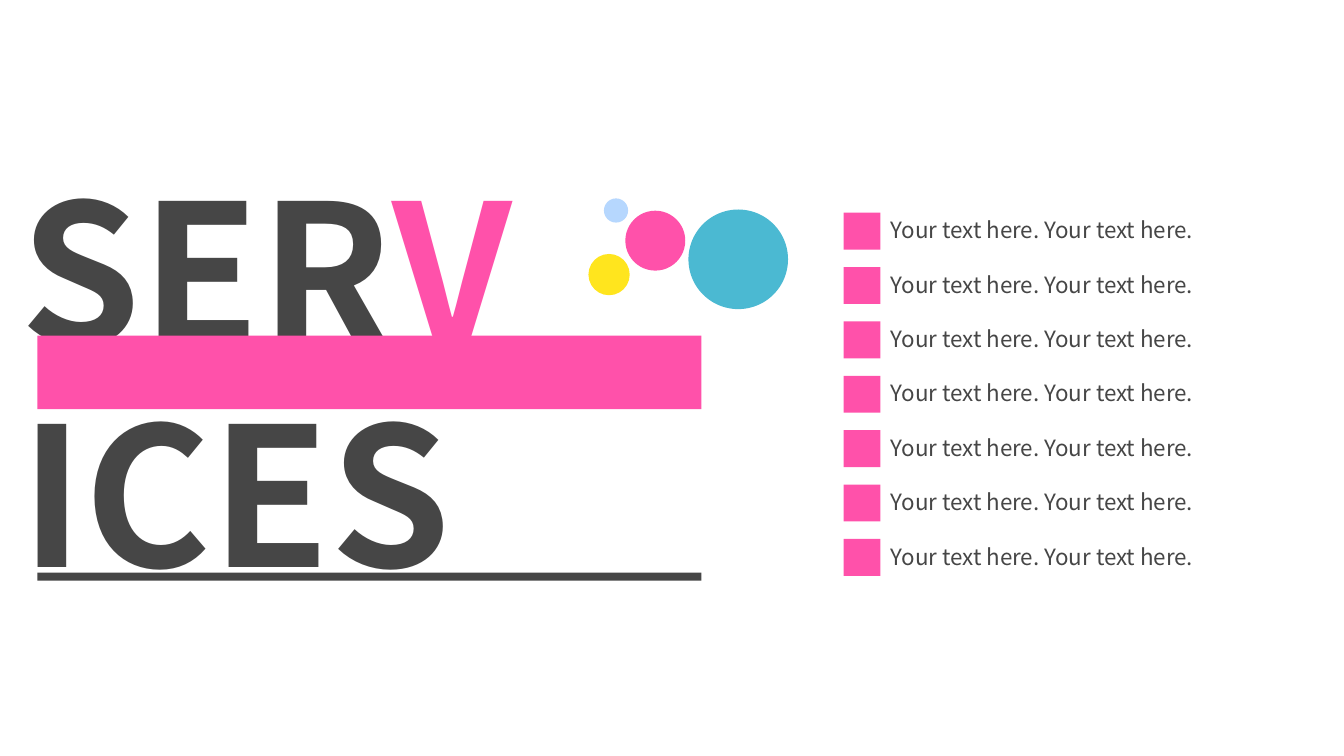
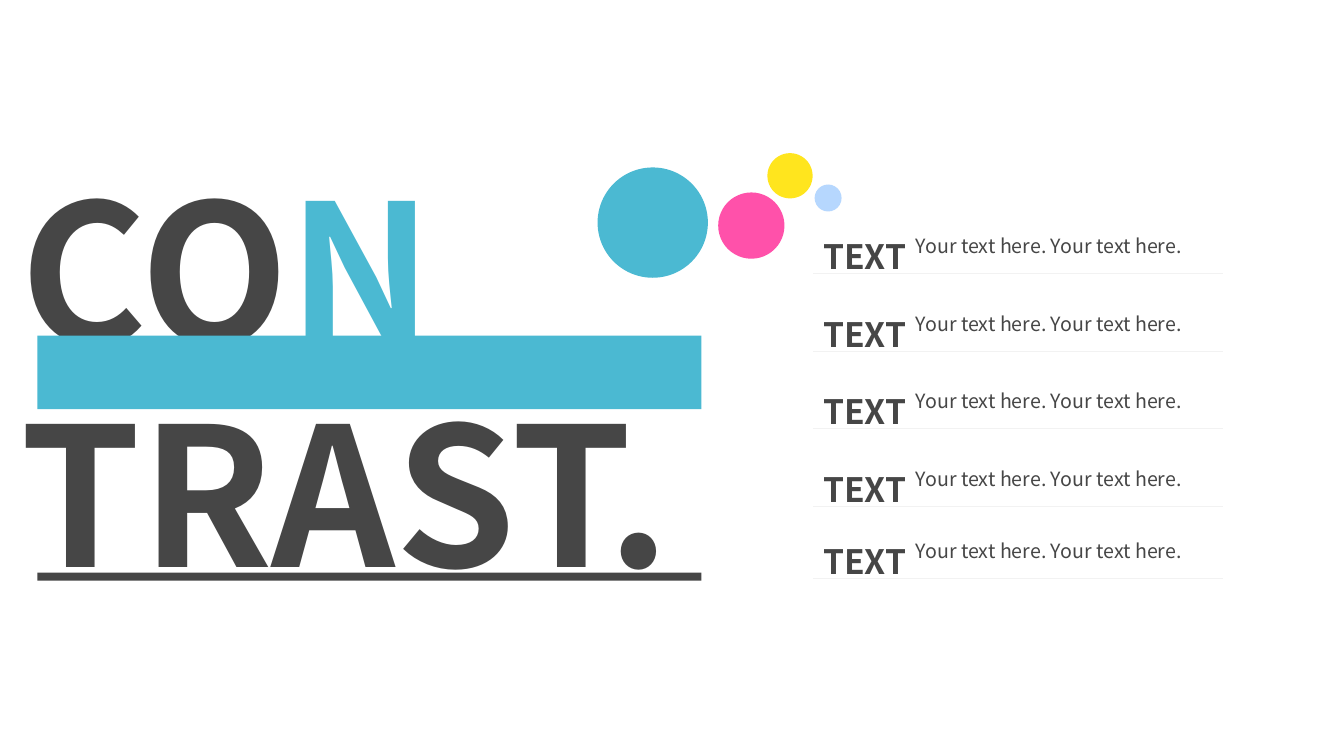
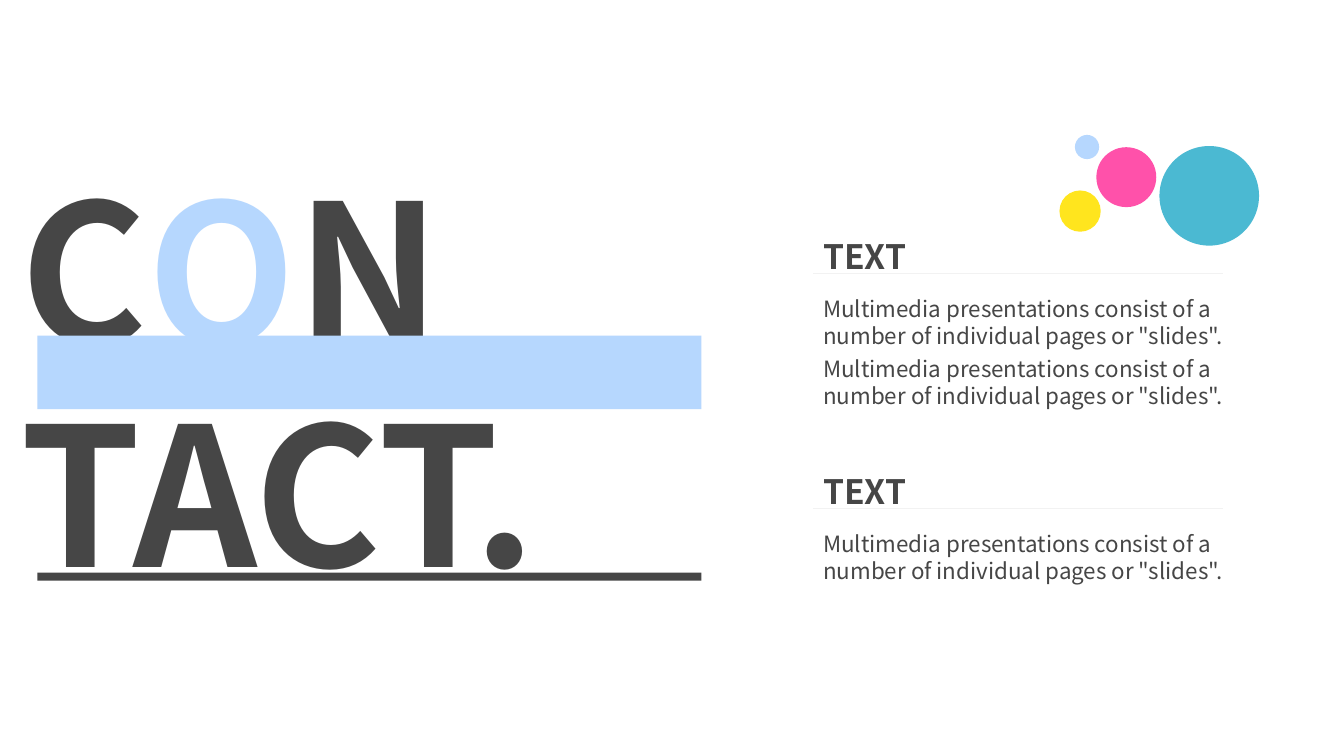
"""Build three slides with split headline titles, bubbles and text lists."""
from typing import NamedTuple

from lxml.etree import SubElement
from pptx import Presentation
from pptx.dml.color import RGBColor
from pptx.enum.shapes import MSO_CONNECTOR, MSO_SHAPE
from pptx.enum.text import MSO_AUTO_SIZE
from pptx.oxml.ns import qn
from pptx.slide import Slide
from pptx.util import Cm, Pt

FONT = "Noto Sans CJK SC"
HUES = {
    "dark": "464646",
    "pink": "FF51AA",
    "teal": "4BB9D2",
    "gold": "FFE51E",
    "pale": "B6D7FE",
    "rule": "F2F2F2",
}
LINE = "Your text here. Your text here."
PROSE = 'Multimedia presentations consist of a number of individual pages or "slides".'
LIST_X = 20.5


class Box(NamedTuple):
    x: float
    y: float
    w: float
    h: float


class Run(NamedTuple):
    text: str
    hue: str = "dark"


class Style(NamedTuple):
    size: int
    bold: bool = False
    lead: int | None = None


class Dot(NamedTuple):
    hue: str
    x: float
    y: float
    size: float


HUGE = Style(138, True)
HEAD = Style(24, True, 65)
BODY = Style(16)
SMALL = Style(14)

CLUMP = [
    Dot("teal", 2.52, 0.28, 2.51),
    Dot("pink", 0.93, 0.31, 1.51),
    Dot("gold", 0, 1.4, 1.04),
    Dot("pale", 0.39, 0, 0.61),
]
TRAIL = [
    Dot("teal", 0, 0.36, 2.78),
    Dot("pink", 3.04, 0.99, 1.67),
    Dot("gold", 4.28, 0, 1.14),
    Dot("pale", 5.47, 0.79, 0.68),
]


def color(hue: str) -> RGBColor:
    return RGBColor.from_string(HUES[hue])


def write(slide: Slide, box: Box, runs: list[Run], style: Style) -> None:
    frame = slide.shapes.add_textbox(*map(Cm, box)).text_frame
    frame.word_wrap = True
    frame.auto_size = MSO_AUTO_SIZE.SHAPE_TO_FIT_TEXT
    para = frame.paragraphs[0]
    if style.lead:
        para.line_spacing = Pt(style.lead)
    for part in runs:
        run = para.add_run()
        run.text = part.text
        run.font.name = FONT
        run.font.size = Pt(style.size)
        run.font.bold = style.bold
        run.font.color.rgb = color(part.hue)


def fill(slide: Slide, box: Box, hue: str, kind: MSO_SHAPE = MSO_SHAPE.RECTANGLE) -> None:
    shape = slide.shapes.add_shape(kind, *map(Cm, box))
    shape.shadow.inherit = False
    shape.fill.solid()
    shape.fill.fore_color.rgb = color(hue)
    shape.line.fill.background()


def rule(slide: Slide, y: float) -> None:
    ends = map(Cm, (LIST_X, y, 30.81, y))
    line = slide.shapes.add_connector(MSO_CONNECTOR.STRAIGHT, *ends)
    line.line.color.rgb = color("rule")
    line.line.width = Pt(0.5)
    SubElement(line._element.spPr, qn("a:effectLst"))


def title(slide: Slide, top: list[Run], base: str, hue: str) -> None:
    write(slide, Box(0.28, 3.68, 18.3, 6.15), top, HUGE)
    write(slide, Box(0.28, 9.32, 18.3, 6.15), [Run(base)], HUGE)
    fill(slide, Box(0.94, 14.43, 16.74, 0.2), "dark")
    fill(slide, Box(0.94, 8.46, 16.74, 1.85), hue)


def bubbles(slide: Slide, dots: list[Dot], x: float, y: float) -> None:
    for dot in dots:
        box = Box(x + dot.x, y + dot.y, dot.size, dot.size)
        fill(slide, box, dot.hue, MSO_SHAPE.OVAL)


def heading(slide: Slide, y: float) -> None:
    write(slide, Box(LIST_X, y - 2.34, 4.7, 2.18), [Run("TEXT")], HEAD)
    rule(slide, y)


def services(slide: Slide) -> None:
    title(slide, [Run("SER"), Run("V", "pink")], "ICES", "pink")
    for row in range(7):
        y = 5.36 + row * 1.37
        write(slide, Box(22.2, y - 0.03, 9.2, 0.94), [Run(LINE)], BODY)
        fill(slide, Box(21.26, y, 0.93, 0.93), "pink")
    bubbles(slide, CLUMP, 14.83, 5)


def contrast(slide: Slide) -> None:
    title(slide, [Run("CO"), Run("N", "teal")], "TRAST.", "teal")
    bubbles(slide, TRAIL, 15.06, 3.86)
    for y in (6.88, 8.86, 10.8, 12.75, 14.58):
        heading(slide, y)
        write(slide, Box(22.83, y - 1.12, 8.4, 0.86), [Run(LINE)], SMALL)


def contact(slide: Slide) -> None:
    title(slide, [Run("C"), Run("O", "pale"), Run("N")], "TACT.", "pale")
    for y, count in ((6.88, 2), (12.8, 1)):
        heading(slide, y)
        for item in range(count):
            box = Box(LIST_X, y + 0.44 + item * 1.51, 11.7, 1.63)
            write(slide, box, [Run(PROSE)], BODY)
    bubbles(slide, CLUMP, 26.7, 3.4)


def main() -> None:
    deck = Presentation()
    deck.slide_width, deck.slide_height = Cm(33.87), Cm(19.05)
    for build in (services, contrast, contact):
        build(deck.slides.add_slide(deck.slide_layouts[6]))
    deck.save("out.pptx")


if __name__ == "__main__":
    main()
